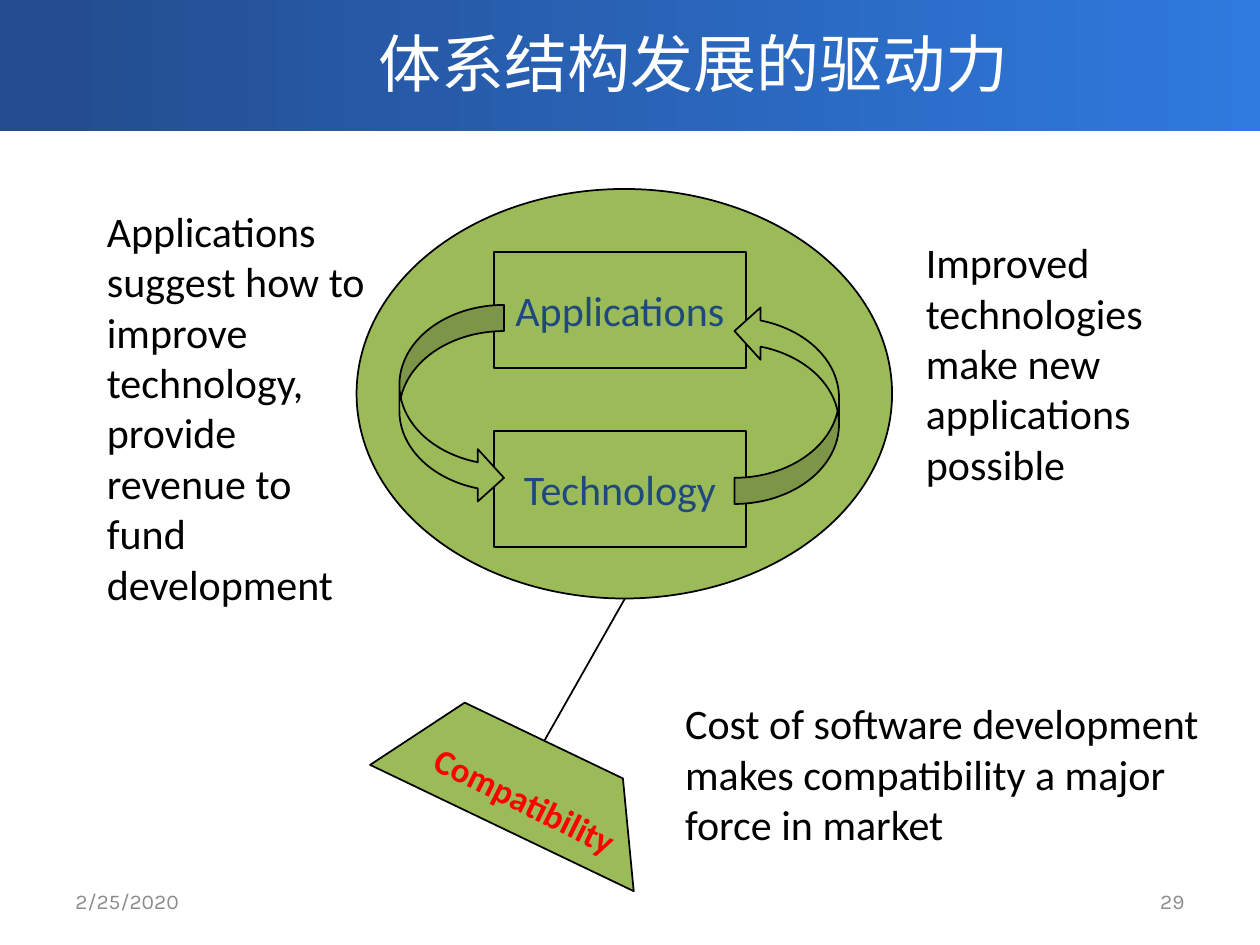
"""Build the slide on what drives the development of architecture."""
from dataclasses import dataclass

from lxml import etree
from pptx import Presentation
from pptx.dml.color import RGBColor
from pptx.enum.shapes import MSO_CONNECTOR, MSO_SHAPE
from pptx.enum.text import MSO_ANCHOR, MSO_AUTO_SIZE, PP_ALIGN
from pptx.oxml.ns import qn
from pptx.util import Inches, Pt

RECTANGLE = MSO_SHAPE.RECTANGLE
ELLIPSE = MSO_SHAPE.OVAL
TRAPEZOID = MSO_SHAPE.FLOWCHART_MANUAL_OPERATION
CURVED_ARROW = MSO_SHAPE.CURVED_RIGHT_ARROW
STRAIGHT = MSO_CONNECTOR.STRAIGHT
LEFT, CENTER, RIGHT = PP_ALIGN.LEFT, PP_ALIGN.CENTER, PP_ALIGN.RIGHT
TOP, MIDDLE = MSO_ANCHOR.TOP, MSO_ANCHOR.MIDDLE
FIT_SHAPE, NO_FIT = MSO_AUTO_SIZE.SHAPE_TO_FIT_TEXT, MSO_AUTO_SIZE.NONE
TITLE_ONLY_LAYOUT = 5


@dataclass(frozen=True)
class TextStyle:
    """Font, size and colour of one kind of text."""
    font: str
    size: int
    color: str
    bold: bool = False


@dataclass(frozen=True)
class Theme:
    """Colours and text styles of the slide."""
    banner_start: str = "234B8D"
    banner_end: str = "2F7ADF"
    fill: str = "9BBB59"
    line: str = "000000"
    line_width: float = 1
    title: TextStyle = TextStyle("Noto Sans CJK SC", 36, "FFFFFF")
    note: TextStyle = TextStyle("Calibri", 24, "000000")
    box: TextStyle = TextStyle("Calibri", 24, "1F497D")
    emphasis: TextStyle = TextStyle("Calibri", 20, "FF0000", True)
    footer: TextStyle = TextStyle("Karla", 12, "8C8C8C")


THEME = Theme()


def color(value):
    """Return the colour for a hexadecimal value."""
    return RGBColor.from_string(value)


def inches(*lengths):
    """Convert several lengths to inches."""
    return [Inches(length) for length in lengths]


def write_text(shape, text, style, align=LEFT, anchor=TOP, wrap=True, fit=NO_FIT):
    """Write one styled paragraph into a shape."""
    frame = shape.text_frame
    frame.word_wrap = wrap
    frame.auto_size = fit
    frame.vertical_anchor = anchor
    paragraph = frame.paragraphs[0]
    paragraph.alignment = align
    run = paragraph.add_run()
    run.text = text
    font = run.font
    font.name = style.font
    font.size = Pt(style.size)
    font.bold = style.bold
    font.color.rgb = color(style.color)
    east_asian = etree.SubElement(run._r.get_or_add_rPr(), qn("a:ea"))
    east_asian.set("typeface", style.font)


def add_banner(slide):
    """Add the gradient band behind the title."""
    banner = slide.shapes.add_shape(RECTANGLE, *inches(0, -0.03, 10, 1.07))
    banner.shadow.inherit = False
    banner.line.fill.background()
    banner.fill.gradient()
    banner.fill.gradient_angle = 0
    ends = (THEME.banner_start, THEME.banner_end)
    for stop, value in zip(banner.fill.gradient_stops, ends):
        stop.color.rgb = color(value)


def add_title(slide, text):
    """Place the title placeholder in front of the banner."""
    title = slide.shapes.title
    title.left, title.top, title.width, title.height = inches(1, 0, 9, 0.99)
    write_text(title, text, THEME.title, CENTER, MIDDLE)
    slide.shapes._spTree.append(title._element)


def add_outlined_shape(slide, kind, bounds, rotation=0, flips=()):
    """Add a filled, outlined shape with optional rotation and flips."""
    shape = slide.shapes.add_shape(kind, *inches(*bounds))
    shape.shadow.inherit = False
    shape.fill.solid()
    shape.fill.fore_color.rgb = color(THEME.fill)
    shape.line.color.rgb = color(THEME.line)
    shape.line.width = Pt(THEME.line_width)
    shape.rotation = rotation
    for flip in flips:
        shape._element.spPr.find(qn("a:xfrm")).set(flip, "1")
    return shape


def add_line(slide, start, end):
    """Add a straight line between two points."""
    line = slide.shapes.add_connector(STRAIGHT, *inches(*start, *end))
    line.line.color.rgb = color(THEME.line)
    line.line.width = Pt(THEME.line_width)
    etree.SubElement(line._element.spPr, qn("a:effectLst"))


def add_text(slide, bounds, text, style, rotation=0, **layout):
    """Add a text box."""
    box = slide.shapes.add_textbox(*inches(*bounds))
    box.rotation = rotation
    write_text(box, text, style, **layout)


def main():
    """Build and save the slide."""
    presentation = Presentation()
    presentation.slide_width, presentation.slide_height = inches(10, 7.5)
    layout = presentation.slide_layouts[TITLE_ONLY_LAYOUT]
    slide = presentation.slides.add_slide(layout)

    add_banner(slide)
    add_title(slide, "体系结构发展的驱动力")

    add_outlined_shape(slide, ELLIPSE, (2.83, 1.5, 4.25, 3.25))
    add_outlined_shape(slide, TRAPEZOID, (2.99, 5.84, 2.32, 0.77), 25.6, ["flipV"])
    add_line(slide, (4.32, 5.88), (4.96, 4.75))
    add_text(slide, (3.29, 6.14, 1.77, 0.44), "Compatibility", THEME.emphasis,
             rotation=26.3, wrap=False, fit=FIT_SHAPE)

    for label, top in (("Applications", 2), ("Technology", 3.42)):
        box = add_outlined_shape(slide, RECTANGLE, (3.92, top, 2, 0.92))
        write_text(box, label, THEME.box, CENTER, MIDDLE)
    for left, flips in ((3.17, ()), (5.83, ("flipH", "flipV"))):
        add_outlined_shape(slide, CURVED_ARROW, (left, 2.42, 0.83, 1.58), flips=flips)

    notes = (
        ((0.75, 1.58, 2.33, 3.33), "Applications suggest how to improve technology, "
                                   "provide revenue to fund development"),
        ((7.25, 1.83, 2.33, 2.12), "Improved technologies make new applications possible"),
        ((5.34, 5.49, 4.46, 1.31), "Cost of software development makes compatibility "
                                   "a major force in market"),
    )
    for bounds, text in notes:
        add_text(slide, bounds, text, THEME.note, fit=FIT_SHAPE)

    for left, text, align in ((0.5, "2/25/2020", LEFT), (7.17, "29", RIGHT)):
        add_text(slide, (left, 6.95, 2.33, 0.4), text, THEME.footer,
                 align=align, anchor=MIDDLE)

    presentation.save("out.pptx")


if __name__ == "__main__":
    main()
